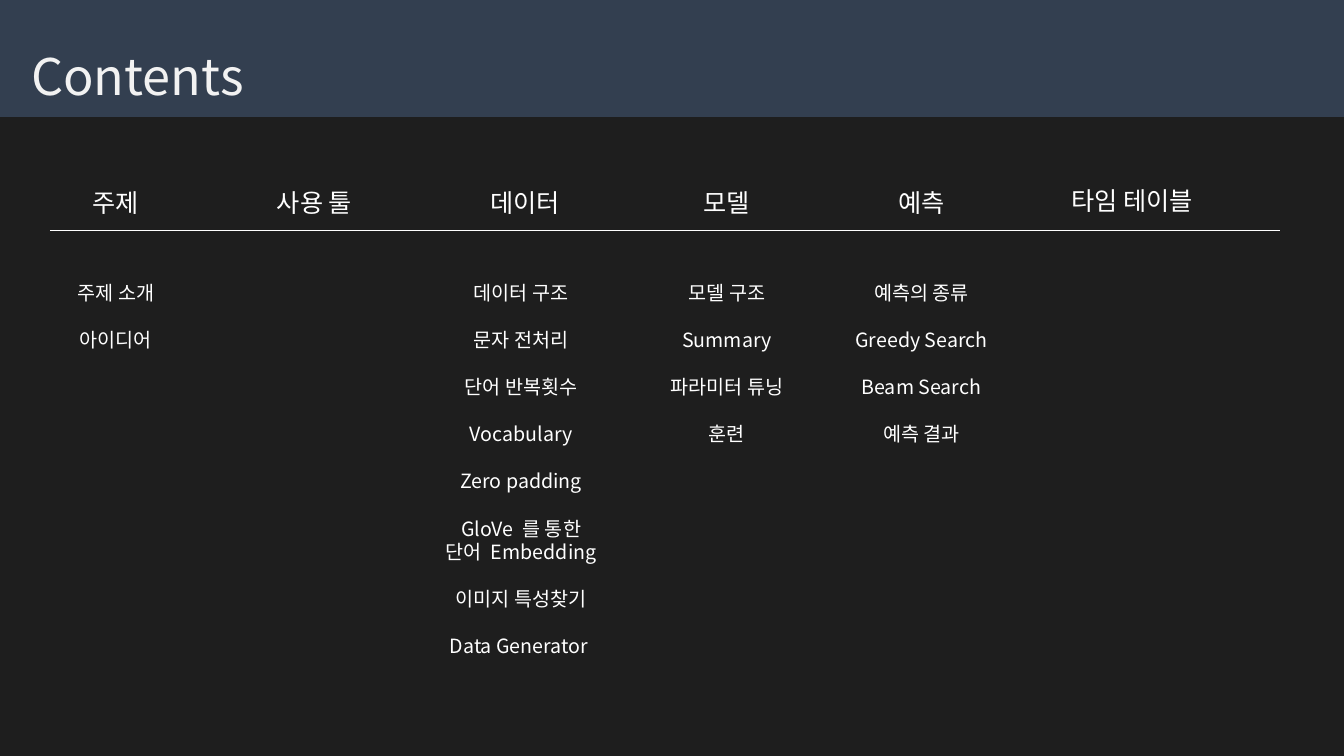
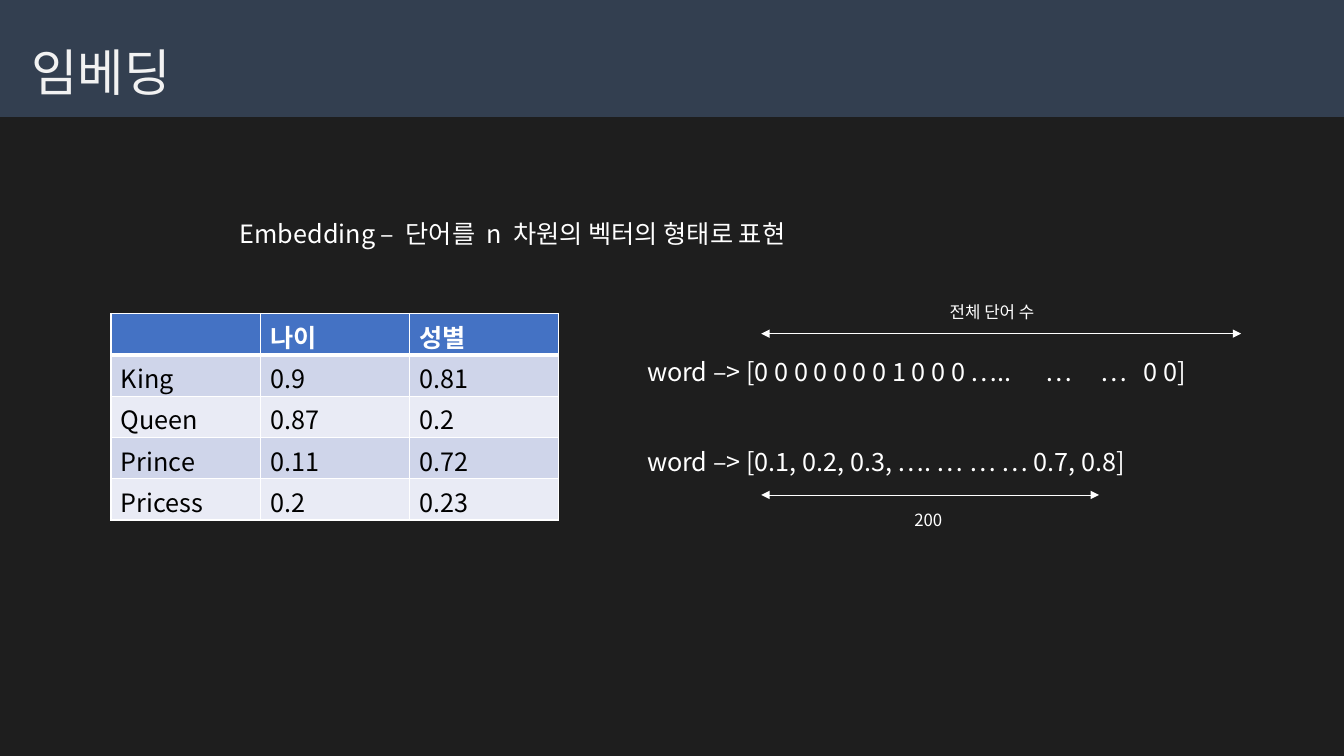
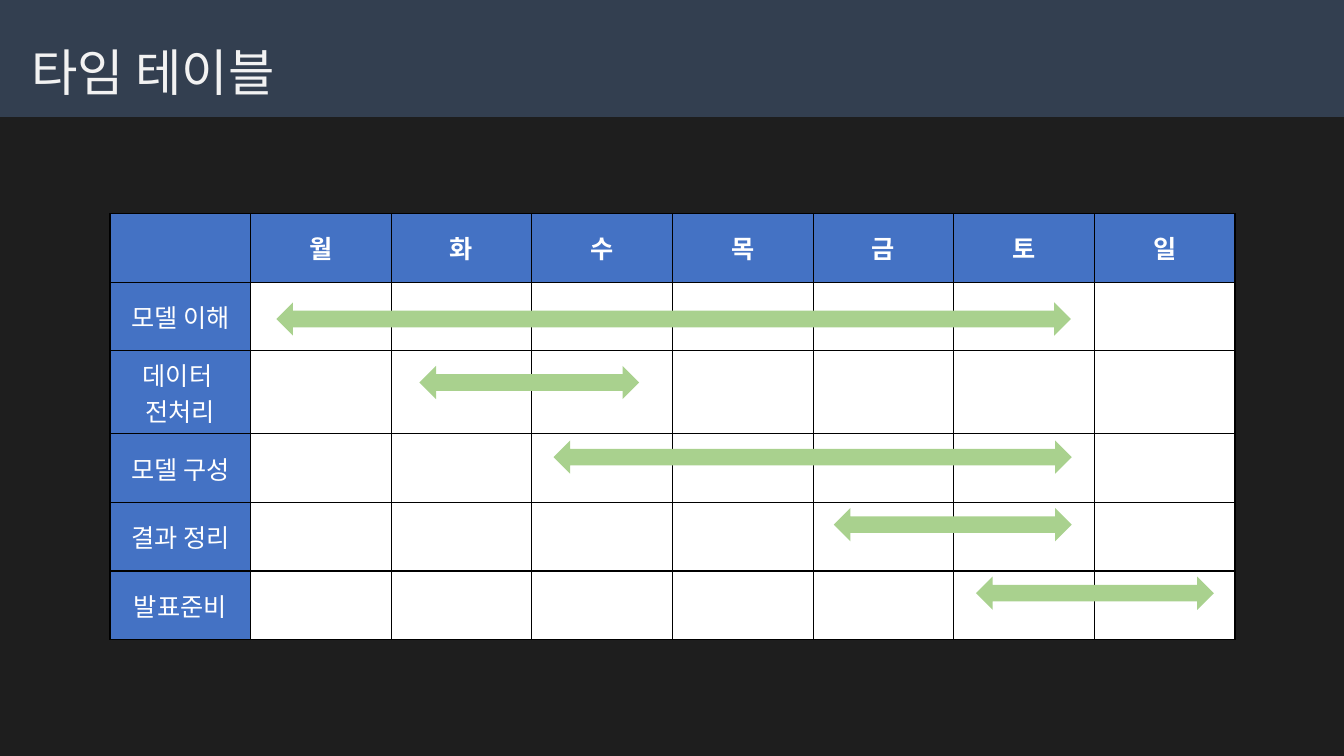
from dataclasses import dataclass

from lxml.etree import SubElement
from pptx import Presentation
from pptx.dml.color import RGBColor
from pptx.enum.shapes import MSO_CONNECTOR, MSO_SHAPE
from pptx.enum.text import MSO_ANCHOR, PP_ALIGN
from pptx.oxml.ns import qn
from pptx.util import Inches, Pt

FONT = "Noto Sans CJK KR"
DARK = RGBColor(0x1E, 0x1E, 0x1E)
BAND = RGBColor(0x33, 0x3F, 0x50)
PALE = RGBColor(0xF2, 0xF2, 0xF2)
WHITE = RGBColor(0xFF, 0xFF, 0xFF)
BLACK = RGBColor(0, 0, 0)
BLUE = RGBColor(0x44, 0x72, 0xC4)
ODD = RGBColor(0xCF, 0xD5, 0xEA)
EVEN = RGBColor(0xE9, 0xEB, 0xF5)
GREEN = RGBColor(0xA9, 0xD1, 0x8E)
LEADING = 1.2


@dataclass
class Topic:
    head: str
    left: float
    items: tuple[str, ...] = ()
    top: float = 1.81
    shift: float = 0


@dataclass
class Label:
    text: str
    left: float
    top: float
    width: float
    height: float = 0.4
    size: int = 18


@dataclass
class Span:
    left: float
    top: float
    width: float


TOPICS = (
    Topic("주제", 0.27, ("주제 소개", "아이디어")),
    Topic("사용 툴", 2.24),
    Topic("데이터", 4.33,
          ("데이터 구조", "문자 전처리", "단어 반복횟수", "Vocabulary", "Zero padding",
           "GloVe  를 통한\v단어  Embedding", "이미지 특성찾기", "Data Generator "),
          shift=-0.04),
    Topic("모델", 6.33, ("모델 구조", "Summary", "파라미터 튜닝", "훈련")),
    Topic("예측", 8.26, ("예측의 종류", "Greedy Search", "Beam Search", "예측 결과")),
    Topic("타임 테이블", 10.35, top=1.79),
)
LABELS = (
    Label("Embedding –  단어를  n  차원의 벡터의 형태로 표현", 2.28, 2.12, 7.65),
    Label("word –> [0 0 0 0 0 0 0 1 0 0 0 …..      …     …   0 0]", 6.32, 3.49, 6.51),
    Label("word –> [0.1, 0.2, 0.3, …. … … … 0.7, 0.8]", 6.32, 4.38, 6.51),
    Label("전체 단어 수", 9.32, 2.94, 1.91, 0.3, 12),
    Label("200", 8.97, 5.01, 1.91, 0.3, 12),
)
VECTORS = (
    ("", "나이", "성별"),
    ("King", "0.9", "0.81"),
    ("Queen", "0.87", "0.2"),
    ("Prince", "0.11", "0.72"),
    ("Pricess", "0.2", "0.23"),
)
DAYS = ("", *"월화수목금토일")
TASKS = ("모델 이해", "데이터 \n전처리", "모델 구성", "결과 정리", "발표준비")
SPANS = (
    Span(2.74, 3, 7.88),
    Span(4.16, 3.63, 2.18),
    Span(5.49, 4.37, 5.14),
    Span(8.27, 5.04, 2.36),
    Span(9.68, 5.72, 2.36),
)


def style(frame, size: int, color: RGBColor, align=None, bold=False) -> None:
    for par in frame.paragraphs:
        par.alignment = align
        for run in par.runs:
            font = run.font
            font.name, font.size, font.bold = FONT, Pt(size), bold
            font.color.rgb = color
            SubElement(run._r.get_or_add_rPr(), qn("a:ea"), typeface=FONT)


def add_slide(deck, title: str, top: float = -0.08):
    slide = deck.slides.add_slide(deck.slide_layouts[5])
    band = slide.shapes.title
    band.left, band.top = 0, Inches(top)
    band.width, band.height = deck.slide_width, Inches(1.16 - top)
    band.fill.solid()
    band.fill.fore_color.rgb = BAND
    frame = band.text_frame
    frame.text = title
    frame.word_wrap = True
    frame.vertical_anchor = MSO_ANCHOR.MIDDLE
    frame.margin_left, frame.margin_top = Inches(0.31), Inches(0.47)
    frame.margin_right, frame.margin_bottom = Inches(0.1), Inches(0.05)
    style(frame, 36, PALE, PP_ALIGN.LEFT)
    frame.paragraphs[0].line_spacing = 0.9
    return slide


def add_label(slide, label: Label, align=PP_ALIGN.LEFT, gap: float = 0) -> None:
    """Add a text box; gap is the space in points between its paragraphs."""
    box = slide.shapes.add_textbox(Inches(label.left), Inches(label.top),
                                   Inches(label.width), Inches(label.height))
    frame = box.text_frame
    frame.word_wrap = True
    frame.text = label.text
    style(frame, label.size, WHITE, align)
    for i, par in enumerate(frame.paragraphs):
        par.line_spacing = Pt(label.size * LEADING)
        if i:
            par.space_before = Pt(gap)


def add_line(slide, left: float, right: float, y: float, heads=False) -> None:
    line = slide.shapes.add_connector(MSO_CONNECTOR.STRAIGHT, Inches(left), Inches(y),
                                      Inches(right), Inches(y))
    line.line.color.rgb = WHITE
    line.line.width = Pt(0.5)
    if heads:
        for end in ("a:headEnd", "a:tailEnd"):
            SubElement(line.line._ln, qn(end), type="triangle")
    SubElement(line._element.spPr, qn("a:effectLst"))


def add_grid(slide, left: float, top: float, width: float, heights: list[float], cols: int):
    size = sum(heights)
    table = slide.shapes.add_table(len(heights), cols, Inches(left), Inches(top),
                                   Inches(width * cols), Inches(size)).table
    for col in table.columns:
        col.width = Inches(width)
    for row, height in zip(table.rows, heights):
        row.height = Inches(height)
    return table


def set_cell(cell, text: str, fill: RGBColor, color: RGBColor, edge: RGBColor,
             align=PP_ALIGN.LEFT, bold=False, upper: float = 1, lower: float = 1) -> None:
    """Fill a cell; upper and lower are the widths of its top and bottom edges."""
    cell.fill.solid()
    cell.fill.fore_color.rgb = fill
    cell.text_frame.text = text
    style(cell.text_frame, 18, color, align, bold)
    props = cell._tc.get_or_add_tcPr()
    for i, (side, width) in enumerate(zip("LRTB", (1, 1, upper, lower))):
        line = SubElement(props, qn(f"a:ln{side}"), w=str(Pt(width)))
        solid = SubElement(line, qn("a:solidFill"))
        SubElement(solid, qn("a:srgbClr"), val=str(edge))
        props.insert(i, line)


def draw_contents(deck) -> None:
    slide = add_slide(deck, "Contents", 0)
    add_line(slide, 0.5, 12.7, 2.29)
    for topic in TOPICS:
        add_label(slide, Label(topic.head, topic.left, topic.top, 1.76), PP_ALIGN.CENTER)
        if topic.items:
            height = 0.47 * len(topic.items)
            items = Label("\n".join(topic.items), topic.left + topic.shift, 2.74,
                          1.76, height, 14)
            add_label(slide, items, PP_ALIGN.CENTER, 14 * LEADING)


def draw_vectors(deck) -> None:
    slide = add_slide(deck, "임베딩")
    table = add_grid(slide, 1.1, 3.11, 1.48, [0.41] * len(VECTORS), len(VECTORS[0]))
    for r, row in enumerate(VECTORS):
        fill = BLUE if r == 0 else ODD if r % 2 else EVEN
        for c, text in enumerate(row):
            cell = table.cell(r, c)
            set_cell(cell, text, fill, BLACK if r else WHITE, WHITE, bold=r == 0,
                     upper=3 if r == 1 else 1, lower=1 if r else 3)
            cell.margin_top, cell.margin_bottom = Inches(0.1), 0
            cell.text_frame.paragraphs[0].line_spacing = Pt(22)
    for label in LABELS:
        add_label(slide, label)
    add_line(slide, 7.55, 12.31, 3.31, heads=True)
    add_line(slide, 7.55, 10.9, 4.91, heads=True)


def draw_times(deck) -> None:
    slide = add_slide(deck, "타임 테이블")
    heights = [0.68] + [0.82 if "\n" in task else 0.68 for task in TASKS]
    table = add_grid(slide, 1.09, 2.12, 1.395, heights, len(DAYS))
    blanks = ("",) * (len(DAYS) - 1)
    for r, row in enumerate((DAYS, *((task, *blanks) for task in TASKS))):
        for c, text in enumerate(row):
            cell = table.cell(r, c)
            cell.vertical_anchor = MSO_ANCHOR.MIDDLE
            set_cell(cell, text, WHITE if r and c else BLUE, WHITE, BLACK,
                     PP_ALIGN.CENTER, bold=r == 0)
    for span in SPANS:
        arrow = slide.shapes.add_shape(MSO_SHAPE.LEFT_RIGHT_ARROW, Inches(span.left),
                                       Inches(span.top), Inches(span.width), Inches(0.33))
        arrow.shadow.inherit = False
        arrow.fill.solid()
        arrow.fill.fore_color.rgb = GREEN
        arrow.line.fill.background()


def main() -> None:
    deck = Presentation()
    deck.slide_width, deck.slide_height = Inches(13.33), Inches(7.5)
    back = deck.slide_master.background.fill
    back.solid()
    back.fore_color.rgb = DARK
    draw_contents(deck)
    draw_vectors(deck)
    draw_times(deck)
    deck.save("out.pptx")


if __name__ == "__main__":
    main()
